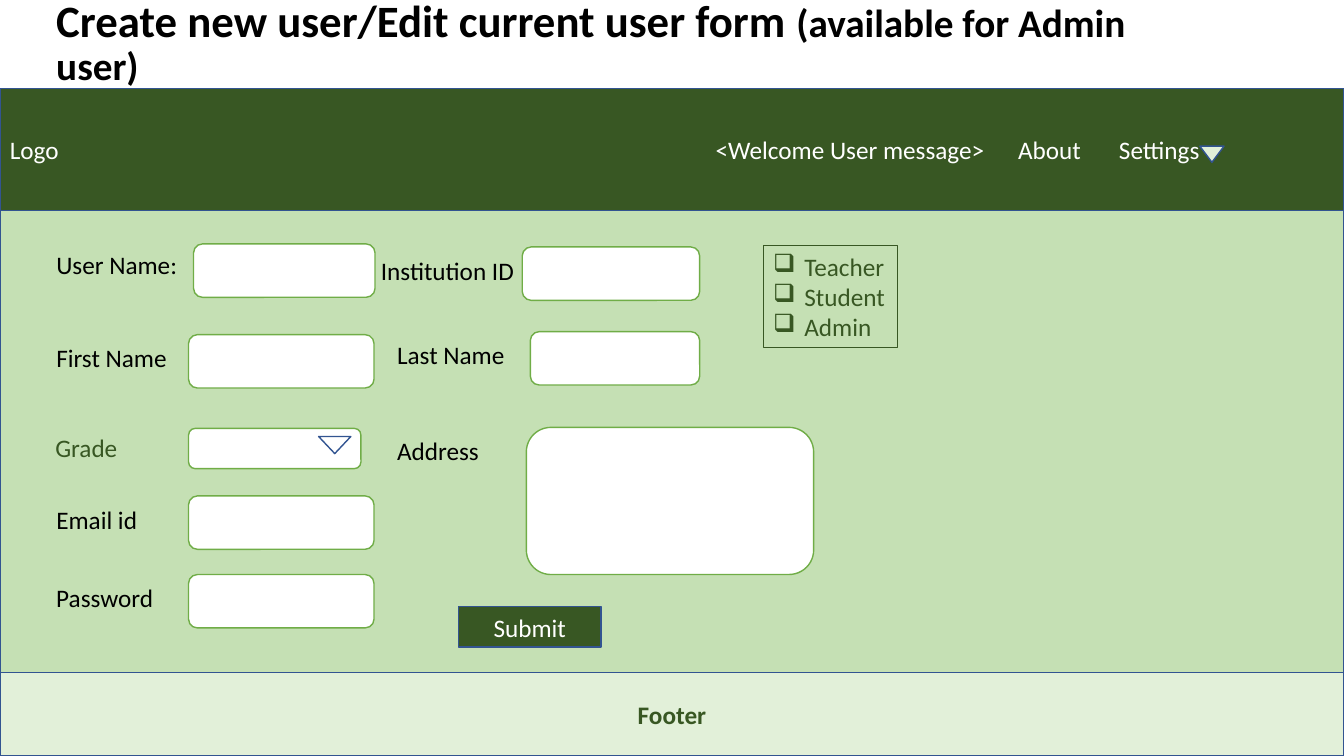
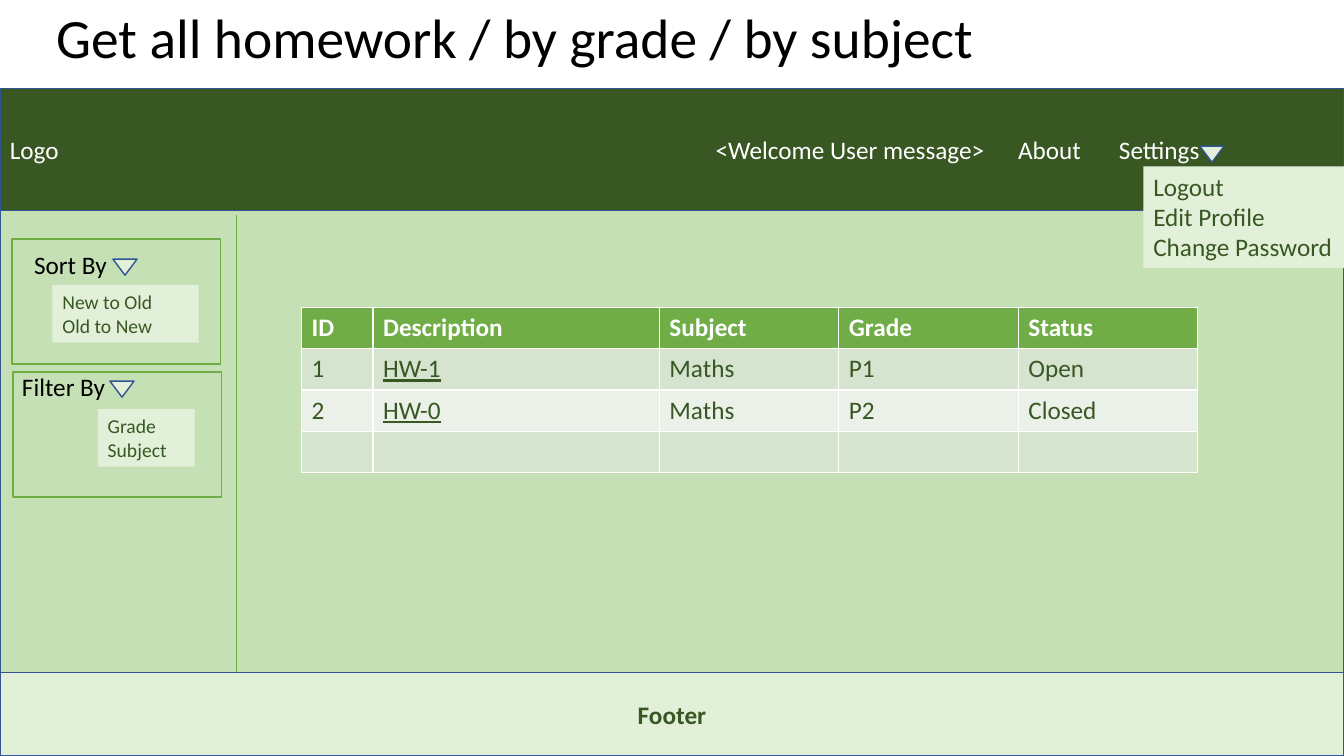
import lxml.etree
import pptx
import pptx.dml.color
import pptx.enum.shapes
import pptx.enum.text
import pptx.oxml.ns
import pptx.util

Inches = pptx.util.Inches
Pt = pptx.util.Pt
qn = pptx.oxml.ns.qn
SHAPE = pptx.enum.shapes.MSO_SHAPE
ALIGN = pptx.enum.text.PP_ALIGN
ANCHOR = pptx.enum.text.MSO_ANCHOR
AUTO_SIZE = pptx.enum.text.MSO_AUTO_SIZE

COLORS = {
    "black": "000000",
    "white": "FFFFFF",
    "dark": "385723",
    "body": "C5E0B4",
    "pale": "E2F0D9",
    "accent": "70AD47",
    "outline": "325491",
    "band_odd": "D5E3CF",
    "band_even": "EBF1E9",
}
COLORS = {name: pptx.dml.color.RGBColor.from_string(value) for name, value in COLORS.items()}
FONT = "Calibri"


def add_box(slide, kind, at, fill=None, line=None, width=1):
    """Add a preset shape, or a text box when kind is None."""
    place = [Inches(value) for value in at]
    if kind is None:
        return slide.shapes.add_textbox(*place)
    shape = slide.shapes.add_shape(kind, *place)
    shape.shadow.inherit = False
    if fill:
        shape.fill.solid()
        shape.fill.fore_color.rgb = COLORS[fill]
    else:
        shape.fill.background()
    if line:
        shape.line.color.rgb = COLORS[line]
        shape.line.width = Pt(width)
    else:
        shape.line.fill.background()
    if kind == SHAPE.ISOSCELES_TRIANGLE:
        shape.rotation = 180
    return shape


def write(frame, lines, color, size=18, bold=False, align=ALIGN.LEFT,
          anchor=ANCHOR.TOP, wrap=True, grow=False):
    """Fill a text frame with one paragraph per line."""
    frame.word_wrap = wrap
    frame.vertical_anchor = anchor
    frame.auto_size = AUTO_SIZE.SHAPE_TO_FIT_TEXT if grow else AUTO_SIZE.NONE
    for index, text in enumerate(lines):
        paragraph = frame.paragraphs[0] if index == 0 else frame.add_paragraph()
        paragraph.text = text
        paragraph.alignment = align
        paragraph.font.name = FONT
        paragraph.font.size = Pt(size)
        paragraph.font.bold = bold
        paragraph.font.color.rgb = COLORS[color]


presentation = pptx.Presentation()
presentation.slide_width = Inches(13.33)
presentation.slide_height = Inches(7.5)

# Shared frame: title, header, body and footer
titles = [
    (0.05, 0.77, True, [("Create new user/Edit current user form ", 32),
                        ("(available for Admin user)", 28)]),
    (0.27, 0.27, False, [("Get all homework / by grade / by subject", 39.6)]),
]
for top, height, bold, runs in titles:
    slide = presentation.slides.add_slide(presentation.slide_layouts[6])

    title = add_box(slide, None, (0.46, top, 11.5, height))
    write(title.text_frame, [""], "black", bold=bold, anchor=ANCHOR.MIDDLE)
    paragraph = title.text_frame.paragraphs[0]
    paragraph.line_spacing = 0.9
    for text, size in runs:
        run = paragraph.add_run()
        run.text = text
        run.font.size = Pt(size)

    header = add_box(slide, SHAPE.RECTANGLE, (0, 0.88, 13.33, 1.21), "dark", "outline")
    write(header.text_frame, ["Logo\t<Welcome User message>\tAbout\tSettings"], "white",
          anchor=ANCHOR.MIDDLE)
    tab_list = lxml.etree.Element(qn("a:tabLst"))
    for position in (7, 10, 11):
        lxml.etree.SubElement(tab_list, qn("a:tab"), pos=str(Inches(position)), algn="l")
    header.text_frame.paragraphs[0]._p.get_or_add_pPr().insert(0, tab_list)

    add_box(slide, SHAPE.RECTANGLE, (0, 2.09, 13.33, 4.59), "body", "outline")
    footer = add_box(slide, SHAPE.RECTANGLE, (0, 6.67, 13.33, 0.83), "pale", "outline")
    write(footer.text_frame, ["Footer"], "dark", bold=True, align=ALIGN.CENTER,
          anchor=ANCHOR.MIDDLE)
    add_box(slide, SHAPE.ISOSCELES_TRIANGLE, (11.9, 1.45, 0.24, 0.16), "pale", "outline")

form_slide, homework_slide = presentation.slides

# User form: input fields
fields = [
    (1.92, 2.42, 1.8, 0.53),
    (1.87, 3.32, 1.84, 0.53),
    (1.87, 4.25, 1.71, 0.4),
    (1.87, 4.92, 1.84, 0.53),
    (1.87, 5.7, 1.84, 0.53),
    (5.18, 2.45, 1.76, 0.53),
    (5.26, 3.29, 1.68, 0.53),
    (5.22, 4.24, 2.85, 1.46),
]
for field in fields:
    add_box(form_slide, SHAPE.ROUNDED_RECTANGLE, field, "white", "accent")
add_box(form_slide, SHAPE.ISOSCELES_TRIANGLE, (3.16, 4.33, 0.32, 0.17), None, "outline")

# User form: field labels
labels = [
    ("User Name:", 0.46, 2.42, 1.41, "black"),
    ("First Name", 0.46, 3.35, 1.31, "black"),
    ("Grade", 0.45, 4.24, 0.82, "dark"),
    ("Email id", 0.46, 4.95, 1.01, "black"),
    ("Password", 0.46, 5.73, 1.17, "black"),
    ("Institution ID", 3.68, 2.48, 1.54, "black"),
    ("Last Name", 3.84, 3.32, 1.28, "black"),
    ("Address", 3.84, 4.27, 1.02, "black"),
]
for text, left, top, width, color in labels:
    label = add_box(form_slide, None, (left, top, width, 0.4))
    write(label.text_frame, [text], color, wrap=False, grow=True)

# User form: submit button and role check list
submit = add_box(form_slide, SHAPE.ACTION_BUTTON_CUSTOM, (4.55, 6.02, 1.41, 0.4),
                 "dark", "outline")
write(submit.text_frame, ["Submit"], "white", align=ALIGN.CENTER, anchor=ANCHOR.MIDDLE)

roles = add_box(form_slide, SHAPE.RECTANGLE, (7.57, 2.44, 1.33, 1.01), None, "dark", 0.75)
write(roles.text_frame, ["Teacher", "Student", "Admin"], "dark", wrap=False, grow=True)
for paragraph in roles.text_frame.paragraphs:
    properties = paragraph._p.get_or_add_pPr()
    properties.set("marL", str(Inches(0.31)))
    properties.set("indent", str(Inches(-0.31)))
    bullet = lxml.etree.Element(qn("a:buChar"), char="❑")
    properties.insert(0, bullet)

# Homework: settings menu
menu = add_box(homework_slide, SHAPE.RECTANGLE, (11.34, 1.65, 1.99, 1.01), "pale")
write(menu.text_frame, ["Logout", "Edit Profile", "Change Password"], "dark",
      wrap=False, grow=True)

# Homework: sidebar divider
divider = homework_slide.shapes.add_connector(
    pptx.enum.shapes.MSO_CONNECTOR.STRAIGHT,
    Inches(2.34), Inches(2.13), Inches(2.34), Inches(6.67))
divider.line.color.rgb = COLORS["accent"]
divider.line.width = Pt(0.5)
lxml.etree.SubElement(divider._element.spPr, qn("a:effectLst"))

# Homework: sort and filter panels
panels = [
    ("Sort By", (0.24, 2.42, 0.93, 0.4), (1.12, 2.57), ["New to Old", "Old to New"],
     (0.52, 2.83, 1.45, 0.57), (0.12, 2.37)),
    ("Filter By", (0.12, 3.63, 1.03, 0.4), (1.09, 3.78), ["Grade", "Subject"],
     (0.97, 4.06, 0.96, 0.57), (0.13, 3.69)),
]
for heading, heading_at, arrow_at, options, options_at, panel_at in panels:
    label = add_box(homework_slide, None, heading_at)
    write(label.text_frame, [heading], "black", wrap=False, grow=True)
    choices = add_box(homework_slide, SHAPE.RECTANGLE, options_at, "pale")
    write(choices.text_frame, options, "dark", size=14, grow=True)
    add_box(homework_slide, SHAPE.ISOSCELES_TRIANGLE, (*arrow_at, 0.24, 0.16),
            "pale", "outline")
    add_box(homework_slide, SHAPE.RECTANGLE, (*panel_at, 2.07, 1.24), None, "accent")

# Homework: table
rows = [
    ["ID", "Description", "Subject", "Grade", "Status"],
    ["1", "HW-1", "Maths", "P1", "Open"],
    ["2", "HW-0", "Maths", "P2", "Closed"],
    [""] * 5,
]
row_fills = ["accent", "band_odd", "band_even", "band_odd"]
table = homework_slide.shapes.add_table(
    len(rows), len(rows[0]), Inches(2.99), Inches(3.05), Inches(8.89), Inches(1.62)).table
for column, width in zip(table.columns, [0.71, 2.84, 1.78, 1.78, 1.78]):
    column.width = Inches(width)
for row_index, (values, fill) in enumerate(zip(rows, row_fills)):
    is_header = row_index == 0
    table.rows[row_index].height = Inches(0.41)
    for column_index, value in enumerate(values):
        cell = table.cell(row_index, column_index)
        cell.fill.solid()
        cell.fill.fore_color.rgb = COLORS[fill]
        cell.text = value
        font = cell.text_frame.paragraphs[0].font
        font.name = FONT
        font.size = Pt(18)
        font.bold = is_header
        font.underline = value.startswith("HW-")
        font.color.rgb = COLORS["white" if is_header else "dark"]

presentation.save("out.pptx")
